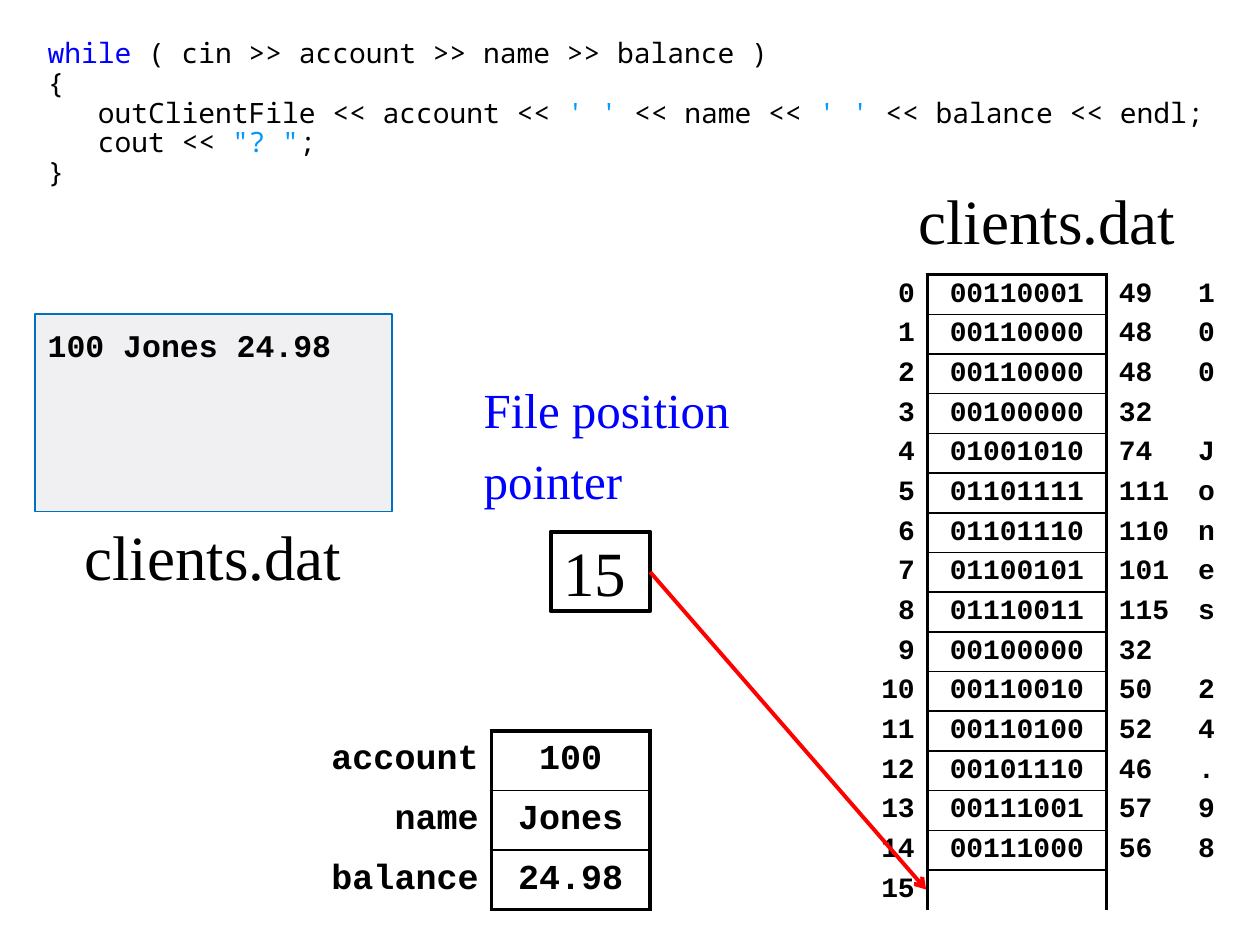
import pptx
import pptx.dml.color
import pptx.enum.shapes
import pptx.enum.text
import pptx.oxml
import pptx.oxml.ns
import pptx.util
from lxml import etree

Inches, Pt = pptx.util.Inches, pptx.util.Pt
RGB = pptx.dml.color.RGBColor
ALIGN, ANCHOR = pptx.enum.text.PP_ALIGN, pptx.enum.text.MSO_ANCHOR
SHAPE, CONNECTOR = pptx.enum.shapes.MSO_SHAPE, pptx.enum.shapes.MSO_CONNECTOR
qn = pptx.oxml.ns.qn

BLACK = RGB(0x00, 0x00, 0x00)
KEYWORD = RGB(0x00, 0x00, 0xFF)
LITERAL = RGB(0x00, 0x99, 0xFF)
POINTER = RGB(0xFF, 0x00, 0x00)
SCREEN_FILL = RGB(0xF0, 0xF0, 0xF2)
SCREEN_LINE = RGB(0x00, 0x70, 0xC0)
SERIF, COURIER, CODE_FONT = "Times New Roman", "Courier New", "Noto Sans Mono"
NO_STYLE = "{2D5ABB26-0587-4C30-8999-92F81FD0307C}"
THICK, THIN = 2.25, 1

CODE = [
    [("while", KEYWORD), (" ( cin >> account >> name >> balance )", BLACK)],
    [("{", BLACK)],
    [("   outClientFile << account << ", BLACK), ("' '", LITERAL),
     (" << name << ", BLACK), ("' '", LITERAL),
     (" << balance << endl;", BLACK)],
    [("   cout << ", BLACK), ('"? "', LITERAL), (";", BLACK)],
    [("}", BLACK)],
]
RECORD = "100 Jones 24.98"
VARIABLES = list(zip(("account", "name", "balance"), RECORD.split()))
FILE_BYTES = [(str(i), f"{ord(c):08b}", str(ord(c)), c.strip())
              for i, c in enumerate(RECORD)]
FILE_BYTES.append((str(len(RECORD)), "", "", ""))
FILE_LABELS = [(7.05, 1.39, 2.52, 0.79), (0.43, 4.06, 2.52, 0.79)]


def write(tf, lines, size, font, bold=False, align=ALIGN.LEFT, gap=0, spacing=None):
    """Fill a text frame with lines, each a list of (text, colour) runs."""
    for i, line in enumerate(lines):
        p = tf.add_paragraph() if i else tf.paragraphs[0]
        p.alignment = align
        p.space_before = Pt(gap if i else 0)
        if spacing:
            p.line_spacing = spacing
        for text, color in line:
            r = p.add_run()
            r.text = text
            for name, value in {"size": Pt(size), "name": font, "bold": bold}.items():
                setattr(r.font, name, value)
            r.font.color.rgb = color


def set_margins(target, x, y):
    for side, value in {"left": x, "right": x, "top": y, "bottom": y}.items():
        setattr(target, f"margin_{side}", Inches(value))


def add_text(slide, box, lines, size, font, wrap=True, margin_y=0.05, **options):
    tf = slide.shapes.add_textbox(*map(Inches, box)).text_frame
    tf.word_wrap = wrap
    set_margins(tf, 0.1, margin_y)
    write(tf, lines, size, font, **options)


def add_box(slide, box, line, width, fill=None):
    sp = slide.shapes.add_shape(SHAPE.RECTANGLE, *map(Inches, box))
    sp.shadow.inherit = False
    if fill is None:
        sp.fill.background()
    else:
        sp.fill.solid()
        sp.fill.fore_color.rgb = fill
    sp.line.color.rgb = line
    sp.line.width = Pt(width)
    sp.text_frame.word_wrap = True
    return sp.text_frame


def set_borders(cell, widths):
    """Draw black cell borders; widths maps L, R, T, B to points."""
    tc_pr = cell._tc.get_or_add_tcPr()
    for side in "LRTB":
        width = widths.get(side)
        ln = etree.SubElement(tc_pr, qn(f"a:ln{side}"))
        if width:
            ln.set("w", str(Pt(width)))
            fill = etree.SubElement(ln, qn("a:solidFill"))
            etree.SubElement(fill, qn("a:srgbClr"), val=str(BLACK))
        else:
            etree.SubElement(ln, qn("a:noFill"))


def add_memory_table(slide, box, rows, col_widths, aligns, size, margin_y, closed):
    """Table whose second column is a stack of ruled memory cells."""
    table = slide.shapes.add_table(len(rows), len(col_widths), *map(Inches, box)).table
    table.first_row = table.horz_banding = False
    table._tbl.tblPr.find(qn("a:tableStyleId")).text = NO_STYLE
    for column, width in zip(table.columns, col_widths):
        column.width = Inches(width)
    last = len(rows) - 1
    for i, values in enumerate(rows):
        table.rows[i].height = Inches(box[3] / len(rows))
        bottom = THIN if i < last else THICK if closed else 0
        borders = {0: {"R": THICK}, 2: {"L": THICK},
                   1: {"L": THICK, "R": THICK, "T": THIN if i else THICK, "B": bottom}}
        for j, text in enumerate(values):
            cell = table.cell(i, j)
            set_borders(cell, borders.get(j, {}))
            cell.fill.background()
            cell.vertical_anchor = ANCHOR.MIDDLE
            set_margins(cell, 0.1, margin_y)
            write(cell.text_frame, [[(text, BLACK)] if text else []], size, COURIER,
                  bold=True, align=aligns[j])
            if not text:
                p = cell.text_frame.paragraphs[0]
                etree.SubElement(p._p, qn("a:endParaRPr"), sz=str(size * 100))


def add_arrow(slide, start, end):
    c = slide.shapes.add_connector(CONNECTOR.STRAIGHT, *map(Inches, start + end))
    c.line.color.rgb = POINTER
    c.line.width = Pt(THICK)
    etree.SubElement(c.line._get_or_add_ln(), qn("a:tailEnd"), type="arrow")
    etree.SubElement(c._element.spPr, qn("a:effectLst"))


def main():
    prs = pptx.Presentation()
    prs.slide_width, prs.slide_height = Inches(10), Inches(7.5)
    s = prs.slides.add_slide(prs.slide_layouts[6])

    add_text(s, (0.28, 0.28, 9.45, 1.42), CODE, 16, CODE_FONT,
             margin_y=0.04, spacing=0.88)
    add_memory_table(s, (2.48, 5.8, 2.68, 1.42), VARIABLES, (1.42, 1.26),
                     (ALIGN.RIGHT, ALIGN.CENTER), 20, 0.05, closed=True)
    add_memory_table(s, (6.89, 2.18, 2.83, 5.04), FILE_BYTES, (0.47, 1.42, 0.63, 0.31),
                     (ALIGN.RIGHT, ALIGN.CENTER, ALIGN.LEFT, ALIGN.CENTER),
                     16, 0.02, closed=False)

    add_text(s, (3.74, 2.96, 2.22, 1.26),
             [[("File position", KEYWORD)], [("pointer", KEYWORD)]], 28, SERIF, gap=7)
    tf = add_box(s, (4.37, 4.22, 0.79, 0.63), BLACK, THICK)
    tf.vertical_anchor = ANCHOR.MIDDLE
    write(tf, [[(str(len(RECORD)), BLACK)]], 36, SERIF)
    add_arrow(s, (5.16, 4.54), (7.35, 7.06))

    tf = add_box(s, (0.28, 2.49, 2.83, 1.57), SCREEN_LINE, THIN, SCREEN_FILL)
    tf.vertical_anchor = ANCHOR.TOP
    set_margins(tf, 0.1, 0.1)
    write(tf, [[(RECORD, BLACK)]], 18, COURIER, bold=True)
    for box in FILE_LABELS:
        add_text(s, box, [[("clients.dat", BLACK)]], 36, SERIF, wrap=False,
                 align=ALIGN.CENTER)
    prs.save("out.pptx")


if __name__ == "__main__":
    main()
